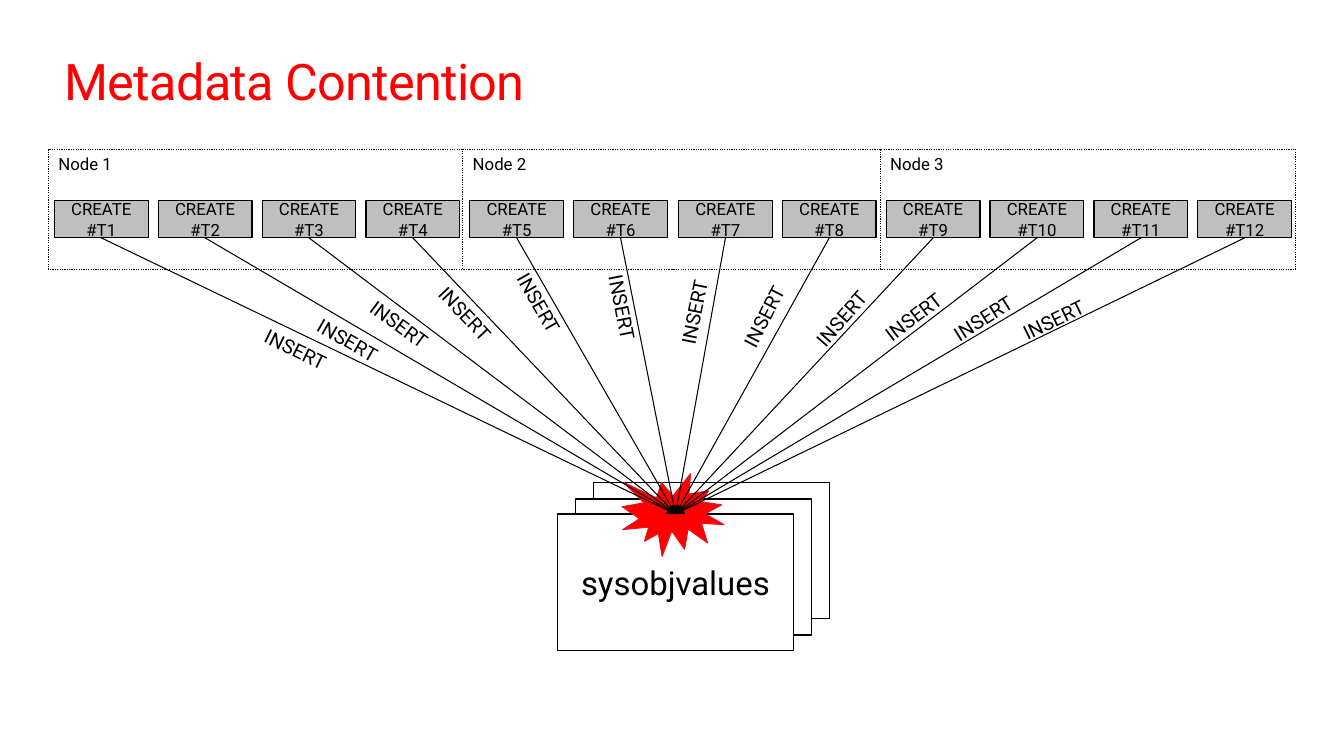
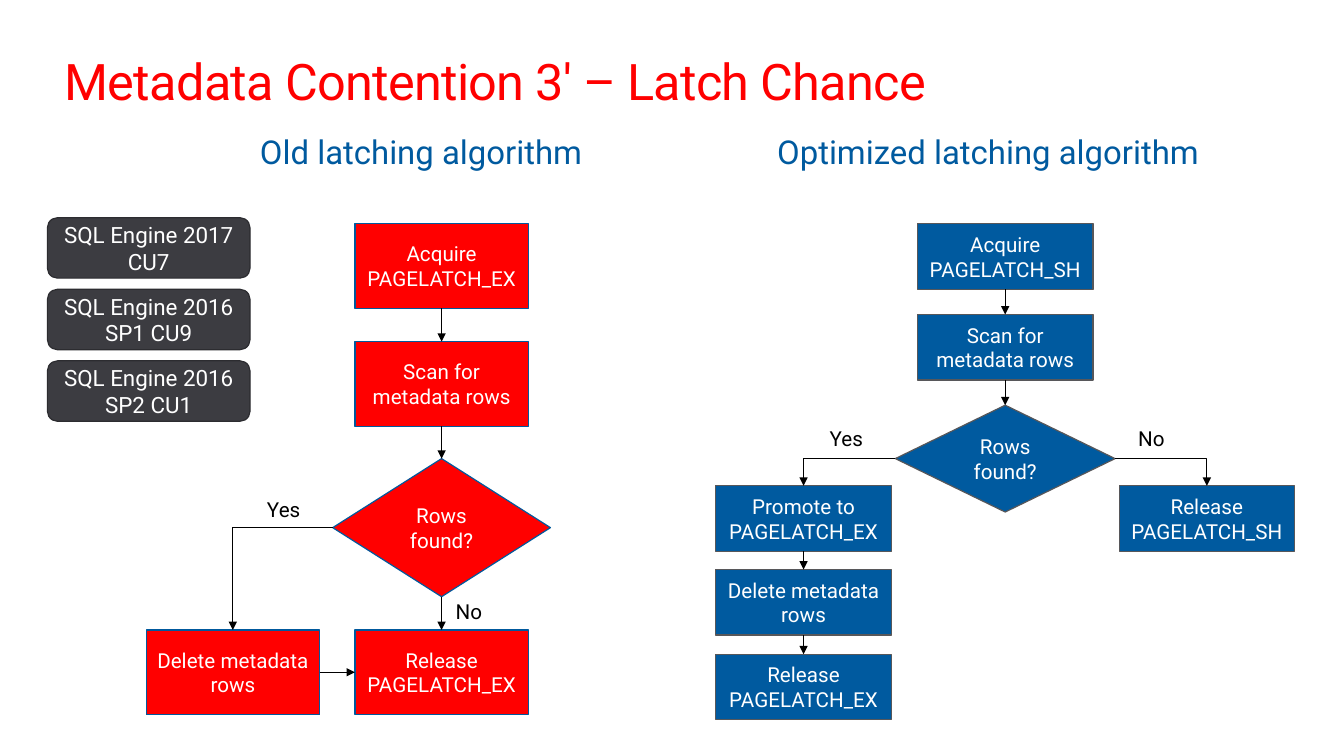
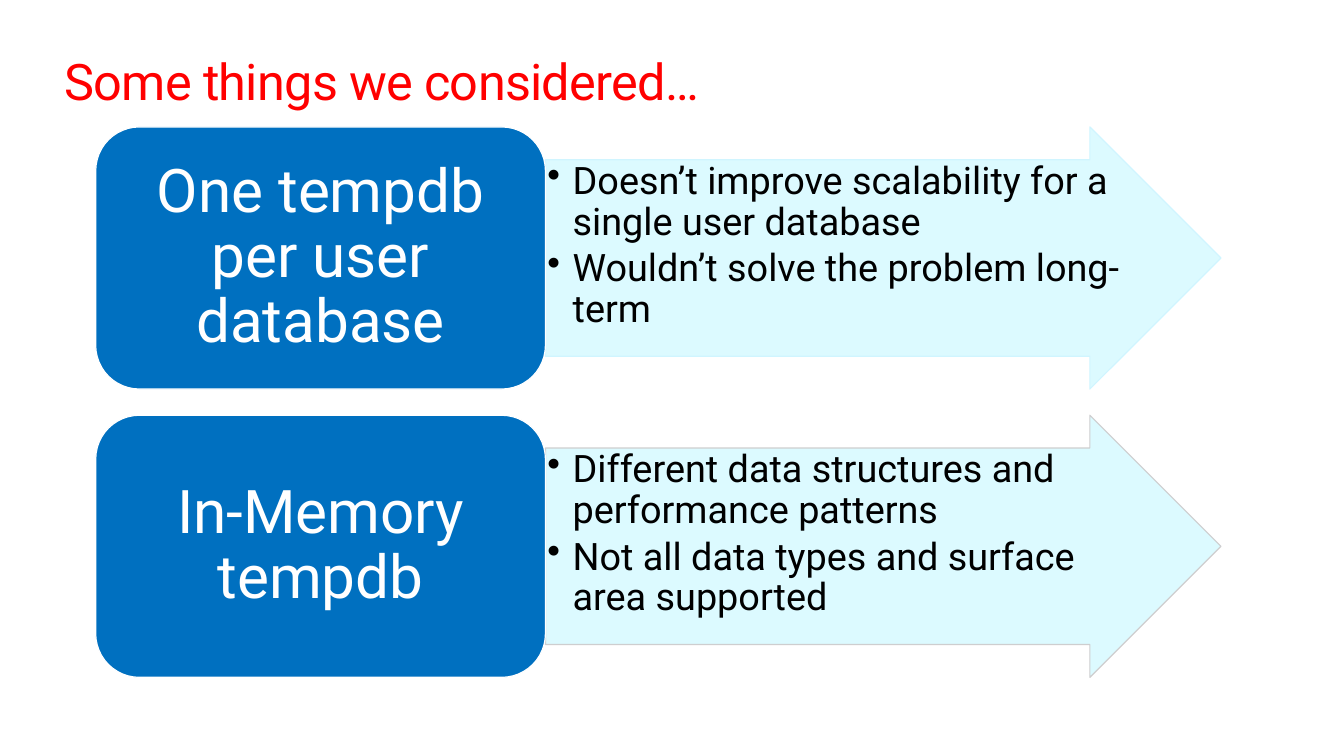
import pptx
import pptx.util
import pptx.dml.color
import pptx.enum.dml
import pptx.enum.shapes
import pptx.enum.text
import pptx.oxml.ns
import lxml.etree

RGB = pptx.dml.color.RGBColor
SHAPE = pptx.enum.shapes.MSO_SHAPE
CONNECTOR = pptx.enum.shapes.MSO_CONNECTOR
ANCHOR = pptx.enum.text.MSO_ANCHOR
ALIGN = pptx.enum.text.PP_ALIGN
DASH = pptx.enum.dml.MSO_LINE
Pt = pptx.util.Pt
qn = pptx.oxml.ns.qn

PX = 9144
FONT = "Roboto"
LINE_WIDTH = 0.85
TOP, LEFT, BOTTOM, RIGHT = range(4)

BLACK = RGB(0x00, 0x00, 0x00)
WHITE = RGB(0xFF, 0xFF, 0xFF)
RED = RGB(0xFF, 0x00, 0x00)
SEAL_EDGE = RGB(0xE8, 0x11, 0x23)
GREY = RGB(0xBF, 0xBF, 0xBF)
BLUE = RGB(0x00, 0x5A, 0x9F)
BLUE_EDGE = RGB(0x00, 0x59, 0x9D)
GREY_EDGE = RGB(0x57, 0x57, 0x5A)
DARK = RGB(0x3C, 0x3C, 0x41)
DARK_EDGE = RGB(0x2C, 0x2C, 0x30)
TOPIC_BLUE = RGB(0x00, 0x70, 0xC0)
PALE = RGB(0xDC, 0xFA, 0xFF)
PALE_EDGE = RGB(0xD0, 0xF5, 0xFF)
SILVER_EDGE = RGB(0xCE, 0xCE, 0xCF)

NODES = [("Node 1", 48, 412), ("Node 2", 459, 415), ("Node 3", 873, 412)]
INSERT_LABELS = [
    (249, 338, 122, 26), (300, 330, 122, 29.8), (350, 316, 122, 36.3),
    (413, 308, 122, 46.7), (471, 320, 168, 60.3), (541, 329, 168, 78.8),
    (613, 252, 168, 281.3), (693, 260, 168, 297.2), (786, 285, 122, 311.2),
    (860, 286, 122, 322.6), (930, 289, 122, 327.7), (1001, 292, 122, 334.1),
]
BUILDS = ["SQL Engine 2017 CU7", "SQL Engine 2016 SP1 CU9", "SQL Engine 2016 SP2 CU1"]
OPTIONS = [
    ("One tempdb per user database", PALE_EDGE,
     ["Doesn’t improve scalability for a single user database",
      "Wouldn’t solve the problem long-term"]),
    ("In-Memory tempdb", SILVER_EDGE,
     ["Different data structures and performance patterns",
      "Not all data types and surface area supported"]),
]


def emu(*lengths):
    return [length * PX for length in lengths]


def write(sp, text, size, color, align=ALIGN.LEFT, anchor=ANCHOR.TOP, inset=(10, 5)):
    tf = sp.text_frame
    tf.text = text
    tf.word_wrap = True
    tf.vertical_anchor = anchor
    tf.margin_left, tf.margin_top = tf.margin_right, tf.margin_bottom = emu(*inset)
    for p in tf.paragraphs:
        p.alignment = align
        for r in p.runs:
            r.font.name = FONT
            r.font.size = Pt(size)
            r.font.color.rgb = color
    return tf


def add_text(s, box, text, size, color=BLACK, inset=(10, 5)):
    sp = s.shapes.add_textbox(*emu(*box))
    write(sp, text, size, color, inset=inset)
    return sp


def add_box(s, kind, box, fill, edge, width=LINE_WIDTH):
    sp = s.shapes.add_shape(kind, *emu(*box))
    sp.shadow.inherit = False
    sp.fill.solid()
    sp.fill.fore_color.rgb = fill
    sp.line.color.rgb = edge
    sp.line.width = Pt(width)
    return sp


def add_label_box(s, kind, box, fill, edge, text, size, color=WHITE, inset=(10, 5)):
    sp = add_box(s, kind, box, fill, edge)
    write(sp, text, size, color, ALIGN.CENTER, ANCHOR.MIDDLE, inset)
    return sp


def add_link(s, start, start_site, end, end_site, bent=False):
    kind = CONNECTOR.ELBOW if bent else CONNECTOR.STRAIGHT
    link = s.shapes.add_connector(kind, 0, 0, 0, 0)
    link.begin_connect(start, start_site)
    link.end_connect(end, end_site)
    link.line.color.rgb = BLACK
    link.line.width = Pt(0.75)
    props = link._element.spPr
    if bent:
        props.find(qn("a:prstGeom")).set("prst", "bentConnector2")
    lxml.etree.SubElement(props.find(qn("a:ln")), qn("a:tailEnd")).set("type", "triangle")
    lxml.etree.SubElement(props, qn("a:effectLst"))


def add_slide(prs, title):
    s = prs.slides.add_slide(prs.slide_layouts[6])
    sp = add_text(s, (64, 50, 1205, 61), title, 36, RED, (0, 0))
    sp.text_frame.paragraphs[0].runs[0].font._element.set("spc", "-50")
    return s


def add_step(s, text, center, top, size, colors, kind=SHAPE.FLOWCHART_PROCESS):
    width, height = size
    box = (center - width // 2, top, width, height)
    return add_label_box(s, kind, box, *colors, text, 14.7)


def add_bullets(sp, lines):
    tf = write(sp, "\n".join(lines), 27, BLACK, inset=(2, 2))
    for p in tf.paragraphs:
        p.line_spacing = 0.9
        p.space_after = Pt(4)
        props = p._element.get_or_add_pPr()
        props.set("marL", str(25 * PX))
        props.set("indent", str(-25 * PX))
        lxml.etree.SubElement(props, qn("a:buChar")).set("char", "•")


def build_contention(prs):
    s = add_slide(prs, "Metadata Contention")
    for left, top in [(589, 479), (571, 495), (553, 510)]:
        page = add_box(s, SHAPE.RECTANGLE, (left, top, 234, 135), WHITE, BLACK)
    write(page, "sysobjvalues", 23.5, BLACK, ALIGN.CENTER, ANCHOR.MIDDLE)
    add_box(s, SHAPE.EXPLOSION1, (617, 470, 101, 82), RED, SEAL_EDGE, 0.75)
    for name, left, width in NODES:
        node = add_box(s, SHAPE.RECTANGLE, (left, 148, width, 119), WHITE, BLACK)
        node.line.dash_style = DASH.ROUND_DOT
        write(node, name, 12, BLACK)
    for i, (left, top, width, angle) in enumerate(INSERT_LABELS):
        box = (54 + round(i * 1134 / 11), 199, 93, 37)
        table = add_label_box(s, SHAPE.RECTANGLE, box, GREY, BLACK, f"CREATE #T{i + 1}", 12, BLACK)
        add_link(s, table, BOTTOM, page, TOP)
        add_text(s, (left, top, width, 34), "INSERT", 14).rotation = angle


def build_old_flow(s):
    colors, size, main = (RED, BLUE_EDGE), (172, 84), 438
    acquire = add_step(s, "Acquire PAGELATCH_EX", main, 222, size, colors)
    scan = add_step(s, "Scan for metadata rows", main, 339, size, colors)
    found = add_step(s, "Rows found?", main, 455, (216, 137), colors, SHAPE.FLOWCHART_DECISION)
    delete = add_step(s, "Delete metadata rows", 231, 625, size, colors)
    release = add_step(s, "Release PAGELATCH_EX", main, 625, size, colors)
    for upper, lower in [(acquire, scan), (scan, found), (found, release)]:
        add_link(s, upper, BOTTOM, lower, TOP)
    add_link(s, found, LEFT, delete, TOP, bent=True)
    add_link(s, delete, RIGHT, release, LEFT)
    add_text(s, (255, 488, 86, 35), "Yes", 14.7)
    add_text(s, (442, 589, 86, 35), "No", 14.7)


def build_new_flow(s):
    colors, size, main, yes, no = (BLUE, GREY_EDGE), (174, 65), 997, 797, 1197
    acquire = add_step(s, "Acquire PAGELATCH_SH", main, 222, size, colors)
    scan = add_step(s, "Scan for metadata rows", main, 312, size, colors)
    found = add_step(s, "Rows found?", main, 402, (218, 106), colors, SHAPE.FLOWCHART_DECISION)
    promote = add_step(s, "Promote to PAGELATCH_EX", yes, 482, size, colors)
    delete = add_step(s, "Delete metadata rows", yes, 565, size, colors)
    release_ex = add_step(s, "Release PAGELATCH_EX", yes, 649, size, colors)
    release_sh = add_step(s, "Release PAGELATCH_SH", no, 482, size, colors)
    for upper, lower in [(acquire, scan), (scan, found), (promote, delete), (delete, release_ex)]:
        add_link(s, upper, BOTTOM, lower, TOP)
    add_link(s, found, LEFT, promote, TOP, bent=True)
    add_link(s, found, RIGHT, release_sh, TOP, bent=True)
    add_text(s, (813, 418, 87, 35), "Yes", 14.7)
    add_text(s, (1119, 418, 87, 35), "No", 14.7)


def build_latching(prs):
    s = add_slide(prs, "Metadata Contention 3′ – Latch Chance")
    add_text(s, (248, 126, 429, 50), "Old latching algorithm", 23.5, BLUE)
    add_text(s, (761, 126, 495, 50), "Optimized latching algorithm", 23.5, BLUE)
    build_old_flow(s)
    build_new_flow(s)
    for i, build in enumerate(BUILDS):
        box = (47, 216 + 71 * i, 201, 60)
        add_label_box(s, SHAPE.ROUNDED_RECTANGLE, box, DARK, DARK_EDGE, build, 16)


def build_options(prs):
    s = add_slide(prs, "Some things we considered…")
    for i, (topic, edge, lines) in enumerate(OPTIONS):
        top = 126 + 286 * i
        arrow = add_box(s, SHAPE.RIGHT_ARROW, (541, top, 670, 260), PALE, edge)
        arrow.adjustments[0] = 0.75
        arrow.adjustments[1] = 0.5
        add_bullets(arrow, lines)
        box = (95, top, 446, 260)
        sp = add_label_box(s, SHAPE.ROUNDED_RECTANGLE, box, TOPIC_BLUE, WHITE, topic, 43, inset=(18, 9))
        sp.text_frame.paragraphs[0].line_spacing = 0.9


def main():
    prs = pptx.Presentation()
    prs.slide_width, prs.slide_height = emu(1333, 750)
    build_contention(prs)
    build_latching(prs)
    build_options(prs)
    prs.save("out.pptx")


if __name__ == "__main__":
    main()
